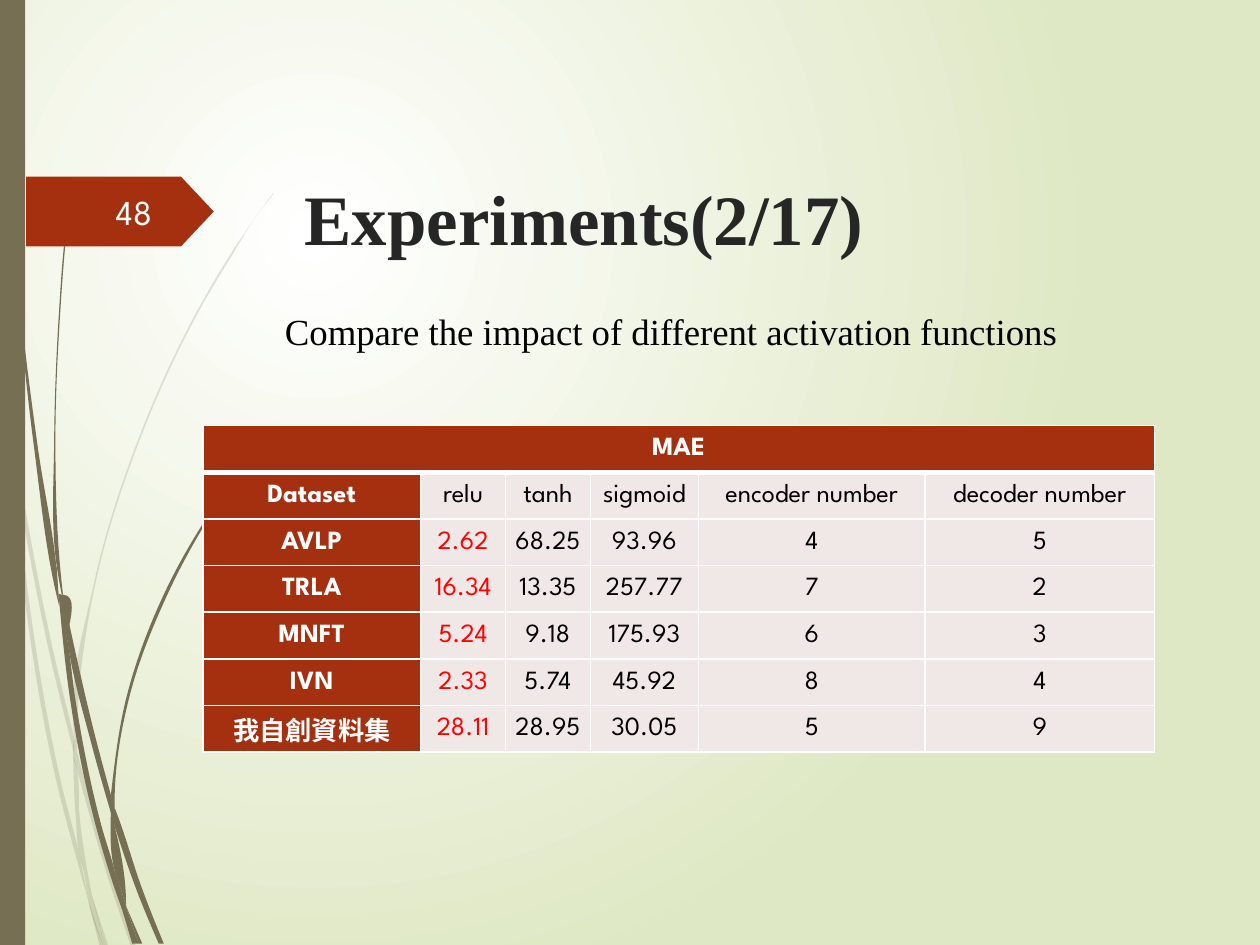
from dataclasses import dataclass
from math import dist

from lxml import etree
from pptx import Presentation
from pptx import util as u
from pptx.dml import color
from pptx.enum import shapes, text
from pptx.oxml import ns, parse_xml


@dataclass(frozen=True)
class Theme:
    olive: str = "766F54"
    rust: str = "A53010"
    pale: str = "F0E8E7"
    white: str = "FFFFFF"
    number: str = "FEFFFF"
    green: str = "DFE8C4"
    black: str = "000000"
    red: str = "FF0000"
    heading: str = "262626"
    serif: str = "Times New Roman"
    sans: str = "League Spartan"
    title_size: float = 40.5
    body_size: float = 21
    number_size: float = 20
    table_size: float = 15


theme = Theme()
rgb = color.RGBColor.from_string


def format_text(frame, font, size, ink, bold=False, align=text.PP_ALIGN.LEFT):
    para = frame.paragraphs[0]
    para.alignment = align
    for span in para.runs:
        span.font.name = font
        span.font.size = u.Pt(size)
        span.font.bold = bold
        span.font.color.rgb = rgb(ink)


def curve_edge(anchors):
    pairs = list(zip(anchors, anchors[1:]))
    lengths = [dist(a, b) for a, b in pairs]
    chords = [((b[0] - a[0]) / n, (b[1] - a[1]) / n) for (a, b), n in zip(pairs, lengths)]
    slopes = [tuple((p * n + q * m) / (m + n) for p, q in zip(v, w))
              for v, w, m, n in zip(chords, chords[1:], lengths, lengths[1:])]
    first, last = (slopes[0], slopes[-1]) if slopes else (chords[0], chords[0])
    slopes.insert(0, tuple(1.5 * v - 0.5 * s for v, s in zip(chords[0], first)))
    slopes.append(tuple(1.5 * v - 0.5 * s for v, s in zip(chords[-1], last)))
    return [("cubicBezTo", [tuple(p + s * n / 3 for p, s in zip(a, slope_a)),
                            tuple(p - s * n / 3 for p, s in zip(b, slope_b)), b])
            for (a, b), n, slope_a, slope_b in zip(pairs, lengths, slopes, slopes[1:])]


deck = Presentation()
deck.slide_width, deck.slide_height = u.Cm(25.4), u.Cm(19.05)
page = deck.slides.add_slide(deck.slide_layouts[1])

backdrop = page.background.fill
backdrop.gradient()
for stop, tone in zip(backdrop.gradient_stops, (theme.white, theme.green)):
    stop.color.rgb = rgb(tone)
linear = page._element.find(".//" + ns.qn("a:lin"))
linear.getparent().replace(linear, parse_xml(
    f'<a:path {ns.nsdecls("a")} path="circle">'
    '<a:fillToRect l="50000" t="50000" r="100000" b="100000"/></a:path>'))

faint_blades = [
    ([(0, 282), (6, 322), (8, 350)], [(0, 299), (7, 344), (8, 350)]),
    ([(10, 345), (43, 520), (59, 586)], [(12, 376), (40, 522), (59, 599)]),
    ([(61, 596), (64, 607), (88, 692), (108, 751)], [(61, 610), (85, 694), (104, 751)]),
    ([(73, 711), (83, 751)], [(73, 711), (86, 751)]),
    ([(8, 350), (12, 376), (22, 469), (48, 619), (64, 683), (70, 714)],
     [(8, 350), (19, 470), (45, 621), (64, 693), (70, 714)]),
    ([(58, 599), (60, 646), (64, 683), (67, 692), (73, 711)],
     [(58, 599), (61, 610), (63, 646), (73, 711)]),
    ([(217, 153), (201, 175), (186, 197), (158, 244), (110, 348), (75, 461), (59, 584), (61, 596)],
     [(217, 154), (201, 175), (187, 198), (159, 245), (111, 349), (76, 462), (61, 584), (61, 596)]),
    ([(70, 714), (79, 751)], [(70, 714), (82, 751)]),
    ([(59, 586), (58, 599), (61, 610)], [(59, 586), (61, 596), (61, 610)]),
    ([(65, 683), (69, 707), (70, 714), (82, 751)], [(65, 683), (67, 692), (73, 711), (83, 751)]),
]
solid_blades = [
    ([(2, 0), (3, 48), (5, 110), (14, 233), (27, 355), (46, 477), (47, 481)],
     [(3, 0), (4, 48), (6, 109), (15, 232), (30, 355), (45, 453), (47, 481)]),
    ([(50, 472), (53, 505), (73, 592), (88, 645)], [(50, 472), (77, 590), (88, 631)]),
    ([(91, 641), (94, 649), (113, 706), (130, 749)], [(91, 656), (109, 708), (126, 749)]),
    ([(47, 477), (53, 505), (60, 556), (81, 657), (91, 691), (97, 722)],
     [(47, 477), (56, 557), (77, 659), (92, 708), (97, 722)]),
    ([(58, 141), (51, 193), (47, 245), (43, 349), (45, 449), (49, 472)],
     [(58, 141), (52, 193), (48, 245), (44, 349), (48, 453), (50, 472)]),
    ([(100, 719), (110, 749)], [(100, 719), (113, 749)]),
    ([(45, 449), (47, 477), (53, 505)], [(45, 449), (49, 472), (50, 472), (53, 505)]),
    ([(215, 344), (203, 358), (191, 373), (168, 405), (129, 474), (101, 551), (88, 631)],
     [(216, 344), (203, 359), (191, 374), (169, 406), (131, 476), (103, 552), (91, 633), (91, 641)]),
    ([(97, 722), (105, 749)], [(97, 722), (108, 749)]),
    ([(88, 645), (91, 691), (96, 706), (100, 719)], [(88, 645), (91, 656), (100, 716), (100, 719)]),
    ([(88, 631), (88, 645), (91, 656)], [(88, 631), (91, 641), (91, 656)]),
    ([(91, 691), (97, 722), (108, 749)], [(91, 691), (96, 706), (100, 719), (110, 749)]),
]
blade_unit = u.Cm(2.54) / 100
for blades, opacity in ((faint_blades, 20), (solid_blades, 100)):
    tuft = page.shapes.add_group_shape()
    for left_edge, right_edge in blades:
        back_edge = right_edge[::-1]
        corners = [(x * blade_unit, y * blade_unit) for x, y in left_edge + back_edge]
        builder = tuft.shapes.build_freeform(*corners[0], scale=1.0)
        builder.add_line_segments(corners[1:], close=True)
        blade = builder.convert_to_shape()
        moves = [("moveTo", left_edge[:1])] + curve_edge(left_edge)
        if back_edge[0] != left_edge[-1]:
            moves.append(("lnTo", back_edge[:1]))
        moves += curve_edge(back_edge) + [("close", [])]
        outline = blade._element.find(".//" + ns.qn("a:path"))
        for child in list(outline):
            outline.remove(child)
        for name, points in moves:
            move = etree.SubElement(outline, ns.qn(f"a:{name}"))
            for x, y in points:
                point = etree.SubElement(move, ns.qn("a:pt"))
                point.set("x", str(round(x * blade_unit - blade.left)))
                point.set("y", str(round(y * blade_unit - blade.top)))
        blade.shadow.inherit = False
        blade.fill.solid()
        blade.fill.fore_color.rgb = rgb(theme.olive)
        blade.line.fill.background()
        if opacity < 100:
            tone = blade._element.spPr.find(".//" + ns.qn("a:srgbClr"))
            etree.SubElement(tone, ns.qn("a:alpha")).set("val", str(opacity * 1000))

kinds = shapes.MSO_SHAPE
side_bar = page.shapes.add_shape(kinds.RECTANGLE, 0, 0, u.Cm(0.51), deck.slide_height)
number_tag = page.shapes.add_shape(
    kinds.PENTAGON, u.Cm(0.53), u.Cm(3.56), u.Cm(3.78), u.Cm(1.41))
number_tag.adjustments[0] = 0.47
for block, tone in ((side_bar, theme.olive), (number_tag, theme.rust)):
    block.shadow.inherit = False
    block.fill.solid()
    block.fill.fore_color.rgb = rgb(tone)
    block.line.fill.background()

number_box = page.shapes.add_textbox(u.Cm(1.69), u.Cm(3.76), u.Cm(1.63), u.Cm(1.02))
number_box.text_frame.word_wrap = True
number_box.text_frame.vertical_anchor = text.MSO_ANCHOR.MIDDLE
number_box.text_frame.text = "48"
format_text(number_box.text_frame, theme.sans, theme.number_size, theme.number,
            align=text.PP_ALIGN.RIGHT)

title, body = page.placeholders
title.left, title.top, title.width, title.height = u.Cm(5.96), u.Cm(3.43), u.Cm(13.51), u.Cm(2.67)
body.left, body.top, body.width, body.height = u.Cm(5.49), u.Cm(6.1), u.Cm(19.91), u.Cm(1.14)
for box in (title, body):
    box.text_frame.auto_size = text.MSO_AUTO_SIZE.NONE
    box.text_frame.vertical_anchor = text.MSO_ANCHOR.TOP
title.text_frame.margin_left = title.text_frame.margin_right = u.Cm(0.18)
title.text_frame.margin_top = title.text_frame.margin_bottom = u.Cm(0.1)
title.text_frame.text = "Experiments(2/17)"
format_text(title.text_frame, theme.serif, theme.title_size, theme.heading, bold=True)
body.text_frame.text = "Compare the impact of different activation functions"
format_text(body.text_frame, theme.serif, theme.body_size, theme.black)
body.text_frame.paragraphs[0].space_before = u.Pt(0)
bullet_props = body.text_frame.paragraphs[0]._p.get_or_add_pPr()
bullet_props.set("marL", "0")
bullet_props.set("indent", "0")
etree.SubElement(bullet_props, ns.qn("a:buNone"))

records = [
    ["MAE"],
    ["Dataset", "relu", "tanh", "sigmoid", "encoder number", "decoder number"],
    ["AVLP", "2.62", "68.25", "93.96", "4", "5"],
    ["TRLA", "16.34", "13.35", "257.77", "7", "2"],
    ["MNFT", "5.24", "9.18", "175.93", "6", "3"],
    ["IVN", "2.33", "5.74", "45.92", "8", "4"],
    ["我自創資料集", "28.11", "28.95", "30.05", "5", "9"],
]
widths = [4.39, 1.71, 1.71, 2.18, 4.57, 4.62]
row_height = 0.94
table = page.shapes.add_table(
    len(records), len(widths), u.Cm(4.09), u.Cm(8.58),
    u.Cm(sum(widths)), u.Cm(row_height * len(records))).table
table.cell(0, 0).merge(table.cell(0, len(widths) - 1))
for column, width in zip(table.columns, widths):
    column.width = u.Cm(width)
for r, record in enumerate(records):
    table.rows[r].height = u.Cm(row_height)
    for c, cell in enumerate(table.rows[r].cells):
        heading = r == 0 or c == 0
        ink = theme.white if heading else theme.red if c == 1 and r > 1 else theme.black
        if c < len(record):
            cell.text_frame.text = record[c]
        format_text(cell.text_frame, theme.sans, theme.table_size, ink, heading,
                    text.PP_ALIGN.CENTER)
        cell.vertical_anchor = text.MSO_ANCHOR.MIDDLE
        cell.margin_left = cell.margin_right = cell.margin_top = u.Cm(0.03)
        cell.margin_bottom = 0
        for place, side in enumerate(("lnL", "lnR", "lnT", "lnB")):
            thick = (r, side) in ((0, "lnB"), (1, "lnT"))
            cell._tc.get_or_add_tcPr().insert(place, parse_xml(
                f'<a:{side} {ns.nsdecls("a")} w="{u.Pt(3 if thick else 1)}"><a:solidFill>'
                f'<a:srgbClr val="{theme.white}"/></a:solidFill></a:{side}>'))
        cell.fill.solid()
        cell.fill.fore_color.rgb = rgb(theme.rust if heading else theme.pale)

deck.save("out.pptx")
